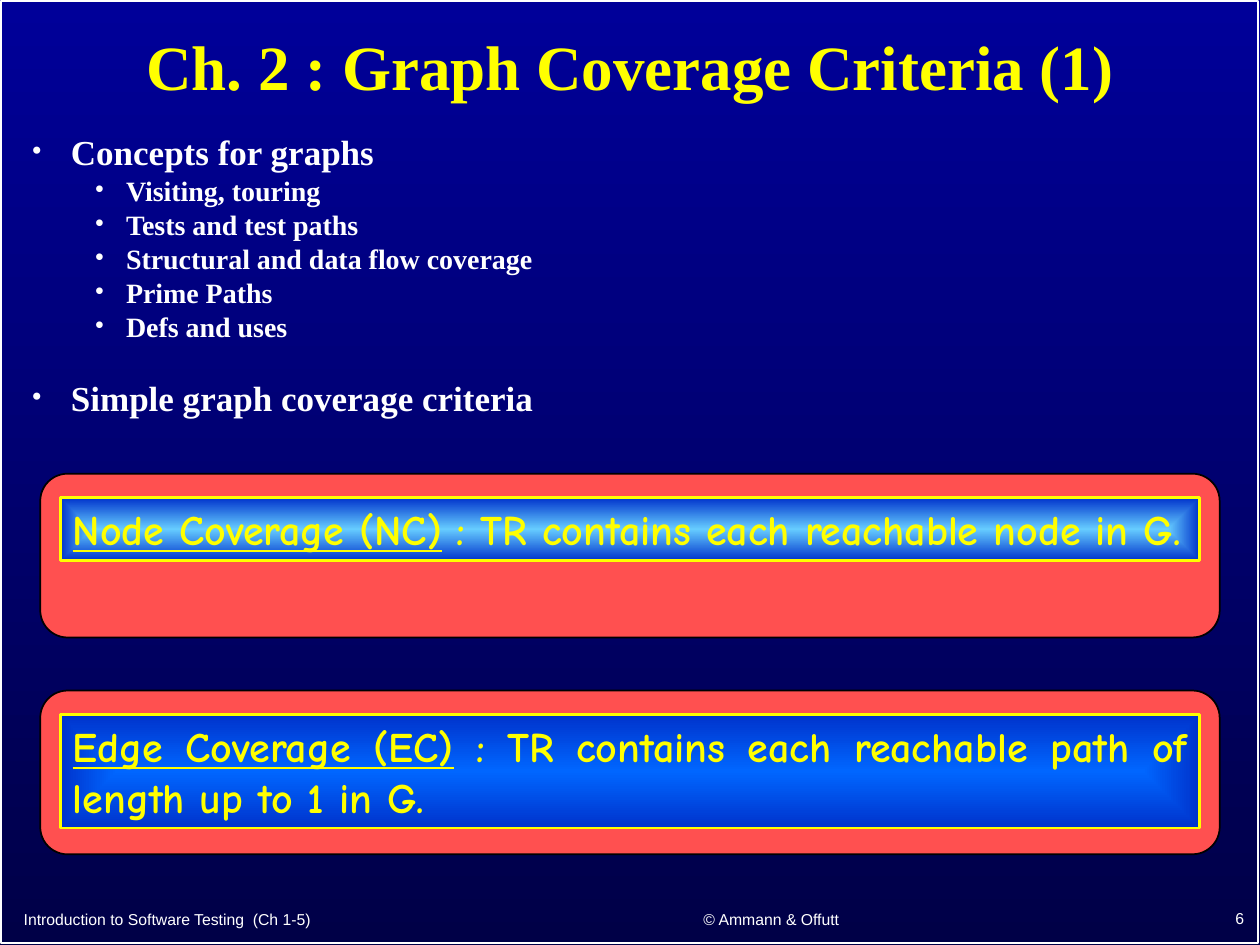
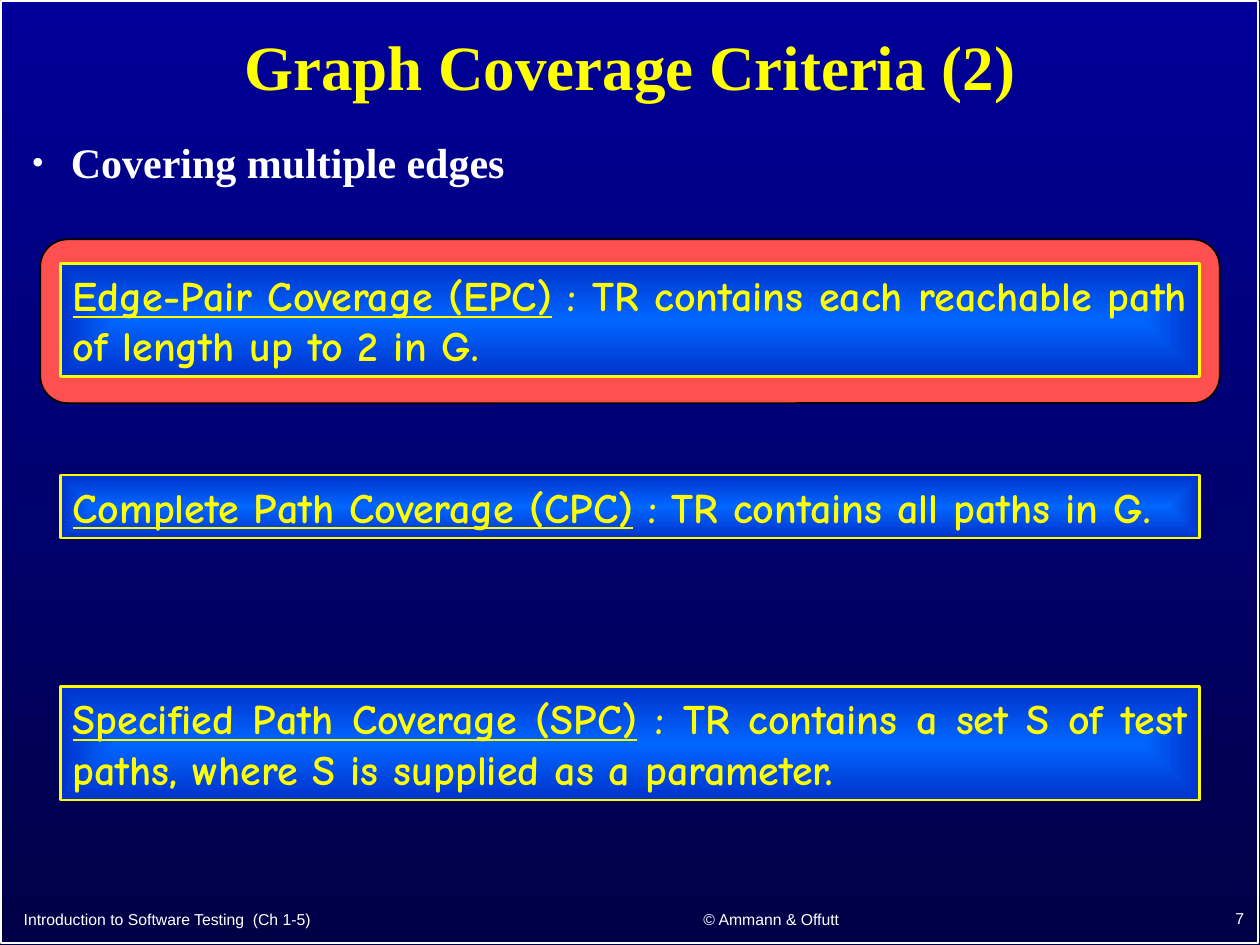
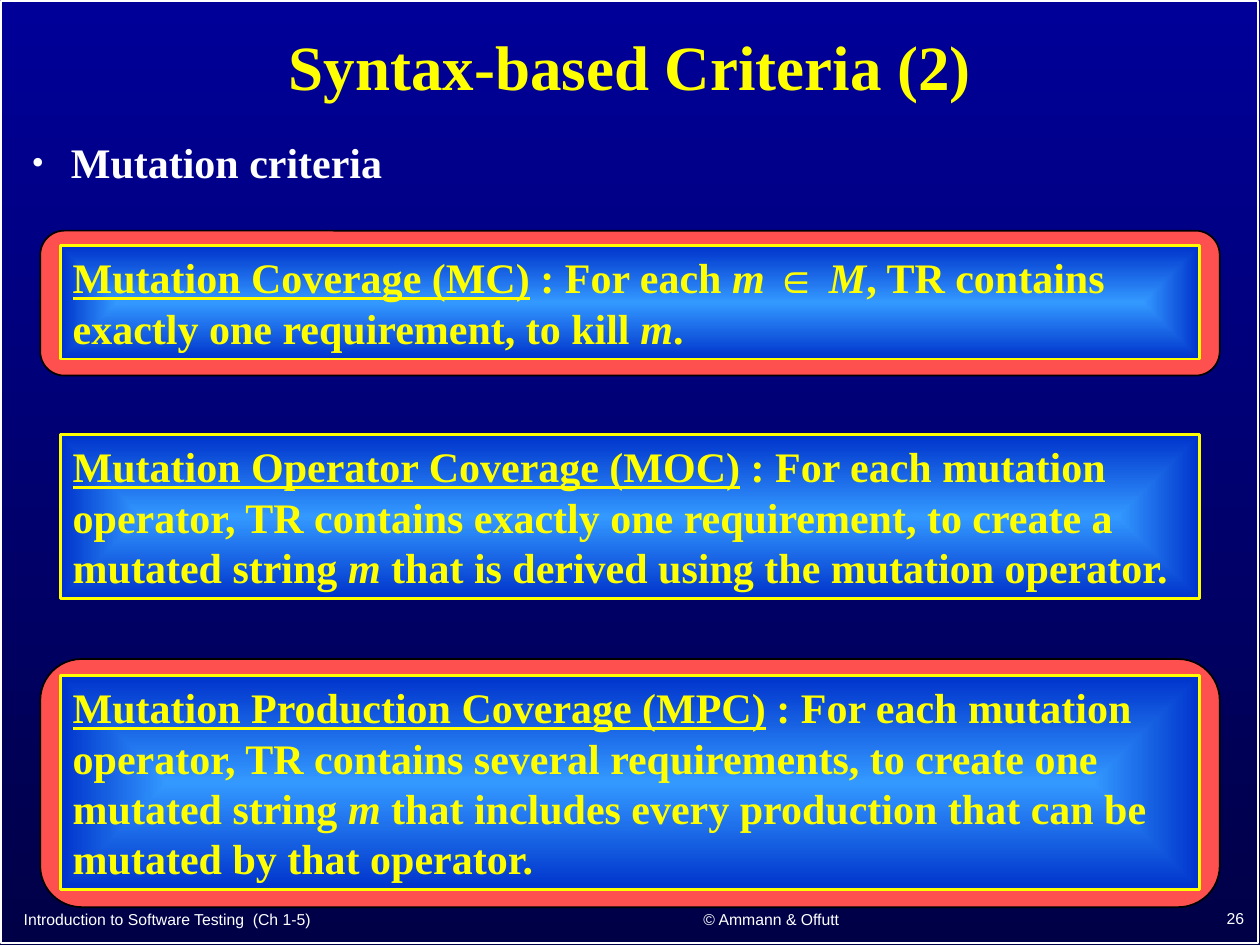
from dataclasses import dataclass

from lxml import etree
from pptx import Presentation
from pptx.dml.color import RGBColor
from pptx.enum import shapes, text
from pptx.oxml import ns
from pptx.util import Pt

WHITE, YELLOW, BLACK, RED = "FFFFFF", "FFFF00", "000000", "FF5050"
SKY, AZURE, BRIGHT, ROYAL = "66CCFF", "3399FF", "0066FF", "0033CC"
NIGHT_TOP, NIGHT_BOTTOM = "000099", "000047"
SERIF, COMIC, SANS = "Times New Roman", "Comic Neue", "Arial"
LEFT, CENTER, RIGHT, JUSTIFY = (
    text.PP_ALIGN.LEFT, text.PP_ALIGN.CENTER, text.PP_ALIGN.RIGHT, text.PP_ALIGN.JUSTIFY)

TITLE_BOX = (54, 4.3, 612, 72)
BOX_LEFT, BOX_WIDTH = 34.5, 651
PANEL_MARGIN = 11.5
LINE_HEIGHT, BOX_PADDING = 28.8, 7.2


@dataclass
class Criterion:
    """A definition box; words between asterisks in the rule are italic."""
    top: float
    lines: int
    term: str
    rule: str
    glow: str = BRIGHT
    panel_height: float = 0
    panel_rise: float = 13.7


def color(value):
    return RGBColor.from_string(value)


def place(shape, box):
    shape.left, shape.top, shape.width, shape.height = (Pt(length) for length in box)


def set_font(paragraph, name, size, value, bold=False):
    font = paragraph.font
    font.name, font.size, font.bold = name, Pt(size), bold
    font.color.rgb = color(value)


def set_gradient(fill, first, last):
    fill.gradient()
    for stop, value in zip(fill.gradient_stops, (first, last)):
        stop.color.rgb = color(value)


def glow_from_center(shape, inner, outer):
    """Fill a shape with a rectangular gradient spreading from its centre."""
    set_gradient(shape.fill, inner, outer)
    linear = shape._element.spPr.find(".//" + ns.qn("a:lin"))
    path = etree.Element(ns.qn("a:path"), path="rect")
    etree.SubElement(path, ns.qn("a:fillToRect"),
                     {side: "50000" for side in "ltrb"})
    linear.getparent().replace(linear, path)


def add_box(slide, kind, box, line_color, line_width):
    shape = slide.shapes.add_shape(kind, *(Pt(length) for length in box))
    shape.shadow.inherit = False
    shape.line.color.rgb = color(line_color)
    shape.line.width = Pt(line_width)
    return shape


def add_bullet(paragraph, indent, hanging, size):
    properties = paragraph._p.get_or_add_pPr()
    properties.set("marL", str(Pt(indent)))
    properties.set("indent", str(-Pt(hanging)))
    tint = etree.SubElement(properties, ns.qn("a:buClr"))
    etree.SubElement(tint, ns.qn("a:srgbClr"), val=WHITE)
    etree.SubElement(properties, ns.qn("a:buSzPct"), val=str(size * 1000))
    etree.SubElement(properties, ns.qn("a:buFont"), typeface=SERIF)
    etree.SubElement(properties, ns.qn("a:buChar"), char="•")


def add_footer(slide, number):
    footers = (
        ("Introduction to Software Testing  (Ch 1-5)", LEFT, (6.5, 513.4, 308, 21)),
        ("© Ammann & Offutt", CENTER, (326.2, 512.8, 229, 21.6)),
        (str(number), RIGHT, (568, 512.2, 150, 21.6)),
    )
    for words, alignment, box in footers:
        frame = slide.shapes.add_textbox(*(Pt(length) for length in box)).text_frame
        frame.word_wrap = True
        frame.vertical_anchor = text.MSO_ANCHOR.BOTTOM
        paragraph = frame.paragraphs[0]
        paragraph.text, paragraph.alignment = words, alignment
        set_font(paragraph, SANS, 9, WHITE)


def fill_title(slide, words):
    title = slide.shapes.title
    place(title, TITLE_BOX)
    title.text_frame.vertical_anchor = text.MSO_ANCHOR.MIDDLE
    paragraph = title.text_frame.paragraphs[0]
    paragraph.text, paragraph.alignment = words, CENTER
    paragraph.line_spacing = 0.9
    set_font(paragraph, SERIF, 36, YELLOW, bold=True)


def fill_topics(slide, topics, height, size=24, spacing=0.9):
    """List the topics, each a heading with its subtopics."""
    body = slide.placeholders[1]
    place(body, (10.8, 77.8, 698.4, height))
    frame = body.text_frame
    frame.auto_size = text.MSO_AUTO_SIZE.NONE
    items = [(level, words) for heading, subtopics in topics
             for level, words in [(0, heading)] + [(1, topic) for topic in subtopics]]
    for index, (level, words) in enumerate(items):
        paragraph = frame.add_paragraph() if index else frame.paragraphs[0]
        paragraph.text, paragraph.level = words, level
        if level:
            add_bullet(paragraph, 54, 18, 100)
        else:
            add_bullet(paragraph, 22.5, 22.5, 85)
        paragraph.line_spacing = spacing
        paragraph.space_before = Pt(0 if index == 0 else 6 if level else 26.4)
        set_font(paragraph, SERIF, 16 if level else size, WHITE, bold=True)


def add_panel(slide, box):
    panel = add_box(slide, shapes.MSO_SHAPE.ROUNDED_RECTANGLE, box, BLACK, 1)
    panel.fill.solid()
    panel.fill.fore_color.rgb = color(RED)


def add_criterion(slide, criterion, font_name, alignment):
    if criterion.panel_height:
        add_panel(slide, (BOX_LEFT - PANEL_MARGIN, criterion.top - criterion.panel_rise,
                          BOX_WIDTH + 2 * PANEL_MARGIN, criterion.panel_height))
    height = BOX_PADDING + criterion.lines * LINE_HEIGHT
    shape = add_box(slide, shapes.MSO_SHAPE.RECTANGLE,
                    (BOX_LEFT, criterion.top, BOX_WIDTH, height), YELLOW, 1.5)
    glow_from_center(shape, criterion.glow, ROYAL)
    frame = shape.text_frame
    frame.word_wrap = True
    frame.vertical_anchor = text.MSO_ANCHOR.TOP
    paragraph = frame.paragraphs[0]
    paragraph.alignment = alignment
    set_font(paragraph, font_name, 24, YELLOW, bold=True)
    term = paragraph.add_run()
    term.text, term.font.underline = criterion.term, True
    for index, words in enumerate(f" : {criterion.rule}".split("*")):
        run = paragraph.add_run()
        run.text = words
        if index % 2:
            run.font.italic = True
        if "∈" in words:
            run.font.name = SANS


def add_criteria_slide(presentation, number, title, topics, criteria,
                       font_name=COMIC, alignment=JUSTIFY, **topic_format):
    slide = presentation.slides.add_slide(presentation.slide_layouts[1])
    frame = add_box(slide, shapes.MSO_SHAPE.RECTANGLE, (0.7, 0.7, 718, 538), WHITE, 1)
    frame.fill.background()
    add_footer(slide, number)
    fill_title(slide, title)
    fill_topics(slide, topics, **topic_format)
    for criterion in criteria:
        add_criterion(slide, criterion, font_name, alignment)


def main():
    presentation = Presentation()
    presentation.slide_width, presentation.slide_height = Pt(720), Pt(540)
    background = presentation.slide_master.background.fill
    set_gradient(background, NIGHT_TOP, NIGHT_BOTTOM)
    background.gradient_angle = 270

    add_criteria_slide(
        presentation, 6, "Ch. 2 : Graph Coverage Criteria (1)",
        [("Concepts for graphs",
          ["Visiting, touring", "Tests and test paths",
           "Structural and data flow coverage", "Prime Paths", "Defs and uses"]),
         ("Simple graph coverage criteria", [])],
        [Criterion(284.4, 1, "Node Coverage (NC)",
                   "TR contains each reachable node in G.", SKY, 93.6),
         Criterion(408.3, 2, "Edge Coverage (EC)",
                   "TR contains each reachable path of length up to 1 in G.",
                   panel_height=93.6)],
        height=175, size=20, spacing=0.7)

    add_criteria_slide(
        presentation, 7, "Graph Coverage Criteria (2)",
        [("Covering multiple edges", [])],
        [Criterion(150.5, 2, "Edge-Pair Coverage (EPC)",
                   "TR contains each reachable path of length up to 2 in G.",
                   panel_height=93.6),
         Criterion(271.4, 1, "Complete Path Coverage (CPC)",
                   "TR contains all paths in G."),
         Criterion(392.4, 2, "Specified Path Coverage (SPC)",
                   "TR contains a set S of test paths, where S is supplied "
                   "as a parameter.")],
        height=39.6)

    add_criteria_slide(
        presentation, 26, "Syntax-based Criteria (2)",
        [("Mutation criteria", [])],
        [Criterion(140.4, 2, "Mutation Coverage (MC)",
                   "For each *m *∈ *M*, TR contains exactly one requirement, "
                   "to kill *m*.", AZURE, 82.8, 8.6),
         Criterion(248.4, 3, "Mutation Operator Coverage (MOC)",
                   "For each mutation operator, TR contains exactly one "
                   "requirement, to create a mutated string *m* that is derived "
                   "using the mutation operator.", AZURE),
         Criterion(386, 4, "Mutation Production Coverage (MPC)",
                   "For each mutation operator, TR contains several requirements, "
                   "to create one mutated string *m* that includes every production "
                   "that can be mutated by that operator.", AZURE, 141.8, 9.4)],
        font_name=SERIF, alignment=LEFT, height=61.2)

    presentation.save("out.pptx")


if __name__ == "__main__":
    main()
